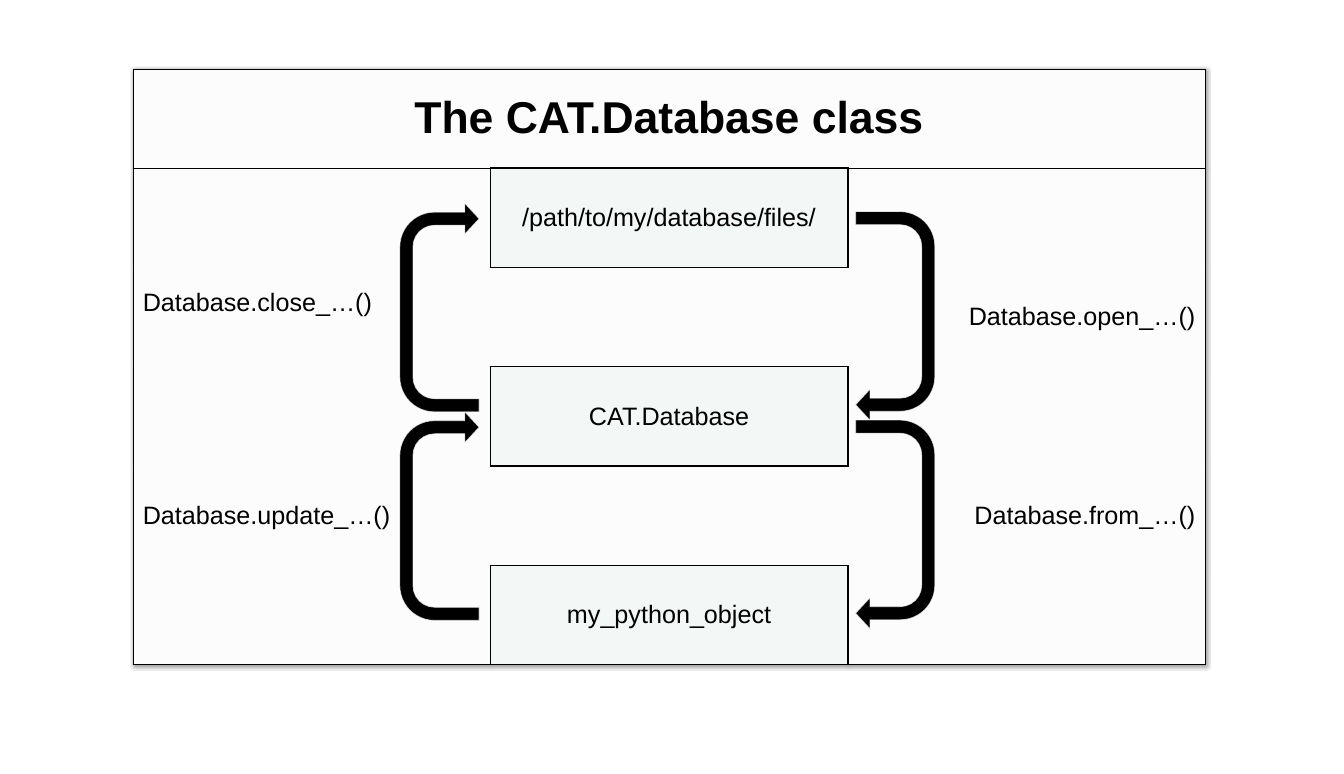
from lxml import etree
from pptx import Presentation
from pptx.dml.color import RGBColor
from pptx.enum.shapes import MSO_SHAPE
from pptx.enum.text import MSO_ANCHOR, PP_ALIGN
from pptx.oxml import parse_xml
from pptx.oxml.ns import qn
from pptx.util import Inches, Pt

LEFT, CENTER, RIGHT = PP_ALIGN.LEFT, PP_ALIGN.CENTER, PP_ALIGN.RIGHT
MIDDLE = MSO_ANCHOR.MIDDLE
U_TURN = MSO_SHAPE.U_TURN_ARROW

COLORS = {"ink": "000000", "panel": "FCFCFC", "box": "F3F7F6", "outline": "FFFFFF"}
FONT = "Arial"
NO_STYLE = "{2D5ABB26-0587-4C30-8999-92F81FD0307C}"
A_NS = "http://schemas.openxmlformats.org/drawingml/2006/main"

ROWS = [
    ("The CAT.Database class", "", ""),
    ("", "/path/to/my/database/files/", ""),
    ("Database.close_…()", "", "Database.open_…()"),
    ("", "CAT.Database", ""),
    ("Database.update_…()", "", "Database.from_…()"),
    ("", "my_python_object", ""),
]
ALIGNS = (LEFT, CENTER, RIGHT)
LIFTED = {"Database.close_…()": 0.54}

TABLE_LEFT, TABLE_TOP, COL_W, ROW_H = 2.57, 1.33, 6.91, 1.92
THIN, THICK = 1, 2.25

ARROW_W, ARROW_H = 4.03, 1.53
ARROW_SHAPE = (0.165, 0.194, 0.18, 0.438, 1)
ARROW_SIDES = [(15.29, 5.34, 90), (6.48, 5.18, 270)]


def rgb(name):
    return RGBColor.from_string(COLORS[name])


def write(cell, text, size=35, bold=False, align=LEFT, lift=0):
    cell.vertical_anchor = MIDDLE
    cell.margin_left = cell.margin_right = Inches(0.19)
    cell.margin_top = Inches(0.1)
    cell.margin_bottom = Inches(0.1 + lift)
    p = cell.text_frame.paragraphs[0]
    p.alignment = align
    r = p.add_run()
    r.text = text
    r.font.name = FONT
    r.font.size = Pt(size)
    r.font.bold = bold
    r.font.color.rgb = rgb("ink")


def is_box(row, col):
    return col == 1 and row % 2 == 1


def border_width(row, col, d_row, d_col):
    near_row, near_col = row + d_row, col + d_col
    if row == 0:
        return THIN
    if is_box(row, col) or is_box(near_row, near_col):
        return THICK
    outside = near_row in (0, len(ROWS)) or near_col in (-1, len(ALIGNS))
    return THIN if outside else 0


def add_borders(cell, row, col):
    sides = {"lnL": (0, -1), "lnR": (0, 1), "lnT": (-1, 0), "lnB": (1, 0)}
    tc_pr = cell._tc.get_or_add_tcPr()
    for i, (tag, step) in enumerate(sides.items()):
        width = border_width(row, col, *step)
        ln = etree.Element(qn("a:" + tag), w=str(Pt(width)))
        if width:
            fill = etree.SubElement(ln, qn("a:solidFill"))
            etree.SubElement(fill, qn("a:srgbClr"), val=COLORS["ink"])
        else:
            etree.SubElement(ln, qn("a:noFill"))
        tc_pr.insert(i, ln)


def add_class_table(s):
    n_rows, n_cols = len(ROWS), len(ALIGNS)
    table = s.shapes.add_table(
        n_rows, n_cols, Inches(TABLE_LEFT), Inches(TABLE_TOP),
        Inches(COL_W * n_cols), Inches(ROW_H * n_rows)).table
    table.first_row = table.horz_banding = False
    tbl_pr = table._tbl.tblPr
    tbl_pr.find(qn("a:tableStyleId")).text = NO_STYLE
    tbl_pr.insert(0, parse_xml(
        f'<a:effectLst xmlns:a="{A_NS}"><a:outerShdw blurRad="50800" dist="38100" '
        'dir="2700000" algn="tl" rotWithShape="0"><a:srgbClr val="000000">'
        '<a:alpha val="40000"/></a:srgbClr></a:outerShdw></a:effectLst>'))
    table.cell(0, 0).merge(table.cell(0, n_cols - 1))
    for row, texts in enumerate(ROWS):
        for col, text in enumerate(texts):
            cell = table.cell(row, col)
            cell.fill.solid()
            cell.fill.fore_color.rgb = rgb("box" if is_box(row, col) else "panel")
            add_borders(cell, row, col)
            if row == 0 and text:
                write(cell, text, size=62, bold=True, align=CENTER)
            elif text:
                write(cell, text, align=ALIGNS[col], lift=LIFTED.get(text, 0))


def add_arrow(s, left, top, rotation):
    sp = s.shapes.add_shape(U_TURN, Inches(left), Inches(top),
                            Inches(ARROW_W), Inches(ARROW_H))
    sp.rotation = rotation
    for i, value in enumerate(ARROW_SHAPE):
        sp.adjustments[i] = value
    sp.shadow.inherit = False
    sp.fill.solid()
    sp.fill.fore_color.rgb = rgb("ink")
    sp.line.color.rgb = rgb("outline")
    sp.line.width = Pt(1)
    color = sp.line._ln.find(".//" + qn("a:srgbClr"))
    etree.SubElement(color, qn("a:alpha"), val="67000")


def main():
    prs = Presentation()
    prs.slide_width, prs.slide_height = Inches(25.98), Inches(14.96)
    s = prs.slides.add_slide(prs.slide_layouts[6])
    add_class_table(s)
    for left, top, rotation in ARROW_SIDES:
        for step in range(2):
            add_arrow(s, left, top + step * ARROW_W, rotation)
    prs.save("out.pptx")


if __name__ == "__main__":
    main()
